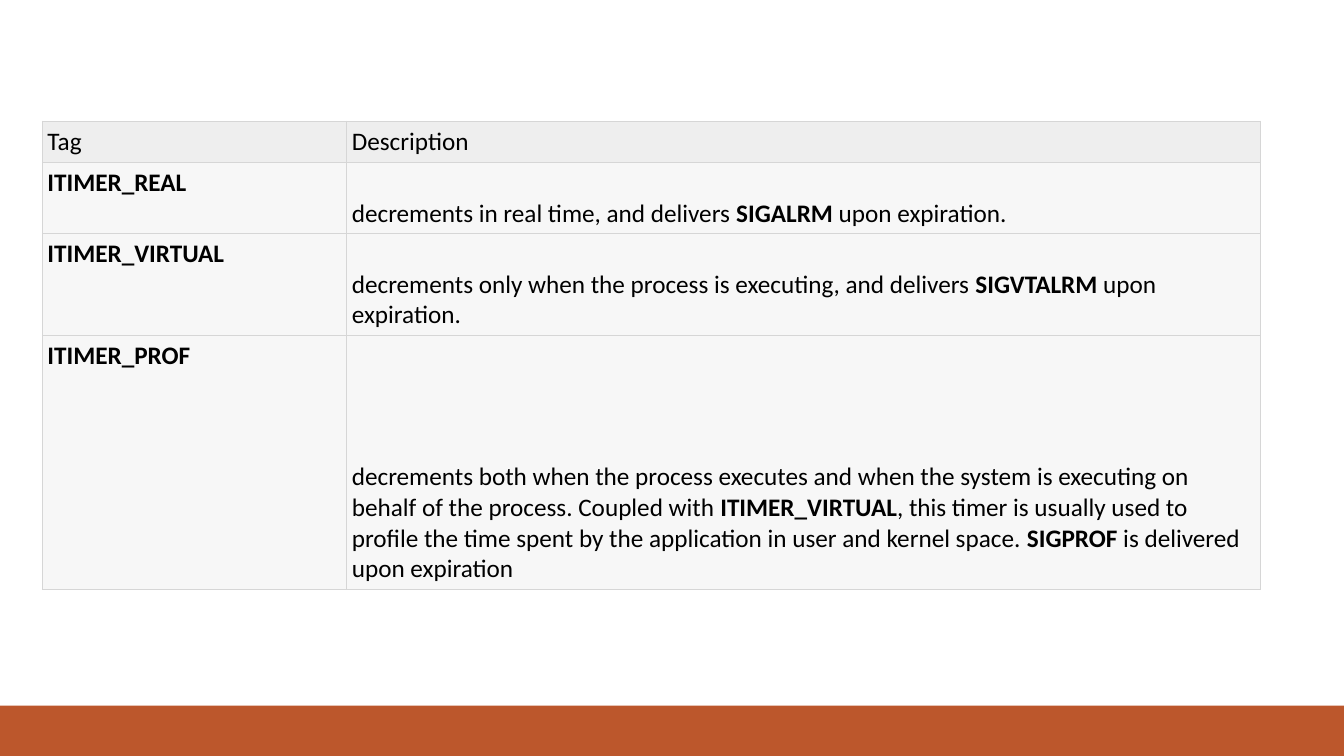
from dataclasses import dataclass

from lxml.etree import SubElement
from pptx import Presentation
from pptx.dml.color import RGBColor as Color
from pptx.enum.shapes import MSO_SHAPE as Shape
from pptx.enum.text import MSO_VERTICAL_ANCHOR as Anchor
from pptx.oxml.ns import qn
from pptx.util import Inches, Pt


@dataclass(frozen=True)
class Theme:
    font: str = "Calibri"
    size: int = 18
    ink: str = "000000"
    header: str = "EEEEEE"
    body: str = "F7F7F7"
    border: str = "D6D6D6"
    border_width: float = 0.75
    band: str = "BC572C"


@dataclass(frozen=True)
class Span:
    text: str
    bold: bool = False


@dataclass(frozen=True)
class Timer:
    tag: str
    description: tuple[Span, ...]
    height: float


THEME = Theme()
WIDTH, HEIGHT = 13.33, 7.5
BAND_SHARE = 1 / 15
LEFT, TOP = 0.42, 1.2
TABLE_WIDTH = 12.08
COLUMN_SHARES = (1 / 4, 3 / 4)
HEADER_HEIGHT = 0.41
INSET = 0.05

TIMERS = (
    Timer("ITIMER_REAL", (
        Span("decrements in real time, and delivers\u00a0"),
        Span("SIGALRM", bold=True),
        Span("\u00a0upon expiration."),
    ), 0.71),
    Timer("ITIMER_VIRTUAL", (
        Span("decrements only when the process is executing, and delivers\u00a0"),
        Span("SIGVTALRM", bold=True),
        Span("\u00a0upon expiration."),
    ), 1.01),
    Timer("ITIMER_PROF", (
        Span("decrements both when the process executes and when the system is "
             "executing on behalf of the process. Coupled with\u00a0"),
        Span("ITIMER_VIRTUAL", bold=True),
        Span(", this timer is usually used to profile the time spent by the "
             "application in user and kernel space.\u00a0"),
        Span("SIGPROF", bold=True),
        Span("\u00a0is delivered upon expiration"),
    ), 2.52),
)


def add_text(para, text: str, *, bold: bool = False, size: int = THEME.size,
             color: str = THEME.ink, font: str = THEME.font) -> None:
    run = para.add_run()
    run.text = text
    run.font.name = font
    run.font.size = Pt(size)
    run.font.bold = bold
    run.font.color.rgb = Color.from_string(color)


def add_borders(cell) -> None:
    properties = cell._tc.get_or_add_tcPr()
    for side in ("a:lnL", "a:lnR", "a:lnT", "a:lnB"):
        line = SubElement(properties, qn(side), w=str(Pt(THEME.border_width)))
        fill = SubElement(line, qn("a:solidFill"))
        SubElement(fill, qn("a:srgbClr"), val=THEME.border)


def fill_cell(cell, spans: tuple[Span, ...], fill: str, anchor: Anchor) -> None:
    add_borders(cell)
    cell.fill.solid()
    cell.fill.fore_color.rgb = Color.from_string(fill)
    cell.margin_left = cell.margin_right = Inches(INSET)
    cell.margin_top = cell.margin_bottom = Inches(INSET)
    cell.vertical_anchor = anchor
    for span in spans:
        add_text(cell.text_frame.paragraphs[0], span.text, bold=span.bold)


def add_band(page) -> None:
    height = HEIGHT * BAND_SHARE
    band = page.shapes.add_shape(Shape.RECTANGLE, 0, Inches(HEIGHT - height),
                                 Inches(WIDTH), Inches(height))
    band.shadow.inherit = False
    band.fill.solid()
    band.fill.fore_color.rgb = Color.from_string(THEME.band)
    band.line.fill.background()


def add_timer_table(page, timers: tuple[Timer, ...]) -> None:
    heights = [HEADER_HEIGHT] + [timer.height for timer in timers]
    table = page.shapes.add_table(
        len(heights), len(COLUMN_SHARES), Inches(LEFT), Inches(TOP),
        Inches(TABLE_WIDTH), Inches(sum(heights))).table
    table.first_row = table.horz_banding = False
    for column, share in zip(table.columns, COLUMN_SHARES):
        column.width = Inches(TABLE_WIDTH * share)
    for row, height in zip(table.rows, heights):
        row.height = Inches(height)
    for index, title in enumerate(("Tag", "Description")):
        fill_cell(table.cell(0, index), (Span(title),), THEME.header, Anchor.TOP)
    for index, timer in enumerate(timers, start=1):
        tag = (Span(timer.tag, bold=True),)
        fill_cell(table.cell(index, 0), tag, THEME.body, Anchor.TOP)
        fill_cell(table.cell(index, 1), timer.description, THEME.body, Anchor.BOTTOM)


deck = Presentation()
deck.slide_width, deck.slide_height = Inches(WIDTH), Inches(HEIGHT)
page = deck.slides.add_slide(deck.slide_layouts[6])
add_band(page)
add_timer_table(page, TIMERS)
deck.save("out.pptx")
